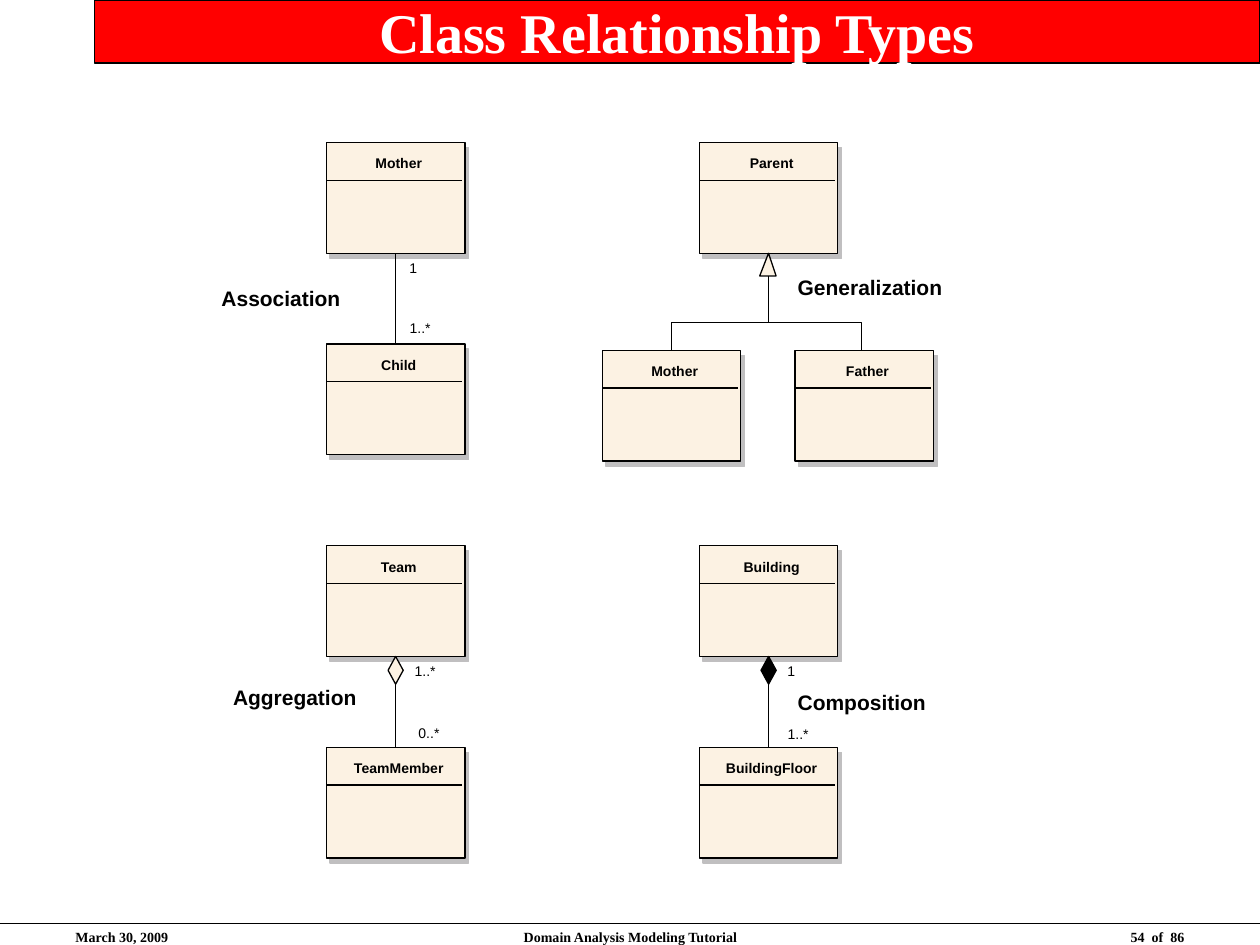
from dataclasses import dataclass
from typing import Optional

from lxml import etree
from pptx import Presentation
from pptx.dml.color import RGBColor
from pptx.enum.shapes import MSO_CONNECTOR as Connector, MSO_SHAPE as Preset
from pptx.enum.text import MSO_ANCHOR as Anchor, MSO_AUTO_SIZE as AutoSize, PP_ALIGN as Align
from pptx.oxml.ns import qn
from pptx.util import Inches, Pt

COLORS = {"ink": "000000", "paper": "FFFFFF", "banner": "FF0000",
          "class": "FCF2E3", "shade": "C0BFC0"}
CLASS_WIDTH, CLASS_HEIGHT = 1.1, 0.88
LEFT_COLUMN, RIGHT_COLUMN = 2.59, 5.55
TOP, BOTTOM = 0, 2

STYLES = {
    "title": {"size": Pt(32), "name": "Times New Roman", "bold": True},
    "footer": {"size": Pt(8), "name": "Times New Roman", "bold": True},
    "class": {"size": Pt(8), "name": "Arial", "bold": True},
    "multiplicity": {"size": Pt(8), "name": "Arial", "bold": False},
    "relationship": {"size": Pt(12), "name": "Arial", "bold": True},
}
PADDED = {"margin_left": Inches(0.1), "margin_right": Inches(0.1),
          "margin_top": Inches(0.05), "margin_bottom": Inches(0.05)}
TIGHT = dict.fromkeys(PADDED, 0)
FIXED = {"word_wrap": True, "auto_size": AutoSize.NONE}
GROWING = {"word_wrap": False, "auto_size": AutoSize.SHAPE_TO_FIT_TEXT}
FRAMES = {
    "title": {**PADDED, **FIXED, "vertical_anchor": Anchor.MIDDLE},
    "footer": {**PADDED, **FIXED},
    "class": {**TIGHT, **GROWING},
    "multiplicity": {**TIGHT, **GROWING},
    "relationship": {**PADDED, **GROWING},
}


@dataclass
class Label:
    text: str
    left: float
    top: float
    width: float
    height: float
    style: str
    align: Align = Align.CENTER


@dataclass
class ClassBox:
    key: str
    name: str
    left: float
    top: float
    name_width: float


@dataclass
class Relation:
    begin: str
    begin_side: int
    end: str
    end_side: int
    diamond: Optional[str] = None


CLASSES = [
    ClassBox("mother", "Mother", LEFT_COLUMN, 1.13, 0.4),
    ClassBox("child", "Child", LEFT_COLUMN, 2.73, 0.31),
    ClassBox("parent", "Parent", RIGHT_COLUMN, 1.13, 0.38),
    ClassBox("mother subclass", "Mother", 4.78, 2.78, 0.4),
    ClassBox("father subclass", "Father", 6.31, 2.78, 0.37),
    ClassBox("building", "Building", RIGHT_COLUMN, 4.33, 0.48),
    ClassBox("floor", "BuildingFloor", RIGHT_COLUMN, 5.93, 0.76),
    ClassBox("team", "Team", LEFT_COLUMN, 4.33, 0.32),
    ClassBox("member", "TeamMember", LEFT_COLUMN, 5.93, 0.75),
]
RELATIONS = [
    Relation("mother", BOTTOM, "child", TOP),
    Relation("floor", TOP, "building", BOTTOM, "ink"),
    Relation("member", TOP, "team", BOTTOM, "class"),
]
FOOTERS = [
    Label("March 30, 2009", 0.5, 7.32, 2.33, 0.17, "footer", Align.LEFT),
    Label("Domain Analysis Modeling Tutorial", 3.42, 7.32, 3.17, 0.17, "footer"),
    Label("54  of  86", 7.17, 7.32, 2.33, 0.17, "footer", Align.RIGHT),
]
MULTIPLICITIES = [
    Label(text, left, top, width, 0.13, "multiplicity")
    for text, left, top, width in [
        ("1", 3.25, 2.06, 0.06), ("1..*", 3.25, 2.54, 0.17),
        ("1", 6.25, 5.26, 0.06), ("1..*", 6.25, 5.76, 0.17),
        ("1..*", 3.29, 5.26, 0.17), ("0..*", 3.32, 5.75, 0.17)]
]
RELATIONSHIPS = [
    Label(text, left, top, width, 0.3, "relationship")
    for text, left, top, width in [
        ("Association", 1.64, 2.22, 1.18), ("Generalization", 6.23, 2.13, 1.35),
        ("Aggregation", 1.75, 5.38, 1.18), ("Composition", 6.23, 5.42, 1.22)]
]


def rgb(color: str) -> RGBColor:
    return RGBColor.from_string(COLORS[color])


def apply_format(target, values: dict) -> None:
    for name, value in values.items():
        setattr(target, name, value)


def paint(shape, fill: Optional[str], line: str = "ink") -> None:
    shape.shadow.inherit = False
    if fill:
        shape.fill.solid()
        shape.fill.fore_color.rgb = rgb(fill)
    else:
        shape.fill.background()
    shape.line.color.rgb = rgb(line)
    shape.line.width = Pt(0.75)


def write(shape, text: str, style: str, align: Align, color: str = "ink") -> None:
    apply_format(shape.text_frame, FRAMES[style])
    paragraph = shape.text_frame.paragraphs[0]
    paragraph.text = text
    paragraph.alignment = align
    apply_format(paragraph.font, STYLES[style])
    paragraph.font.color.rgb = rgb(color)


def add_label(slide, label: Label) -> None:
    shape = slide.shapes.add_textbox(Inches(label.left), Inches(label.top),
                                     Inches(label.width), Inches(label.height))
    write(shape, label.text, label.style, label.align)


def add_rectangle(slide, left: float, top: float, width: float, height: float,
                  fill: str, line: str = "ink"):
    shape = slide.shapes.add_shape(Preset.RECTANGLE, Inches(left), Inches(top),
                                   Inches(width), Inches(height))
    paint(shape, fill, line)
    return shape


def add_line(slide, x1: float = 0, y1: float = 0, x2: float = 0, y2: float = 0):
    line = slide.shapes.add_connector(Connector.STRAIGHT, Inches(x1), Inches(y1),
                                      Inches(x2), Inches(y2))
    line.line.color.rgb = rgb("ink")
    line.line.width = Pt(0.75)
    etree.SubElement(line._element.spPr, qn("a:effectLst"))
    return line


def add_outline(slide, points: list, fill: Optional[str] = None) -> None:
    corners = [(Inches(x), Inches(y)) for x, y in points]
    builder = slide.shapes.build_freeform(*corners[0])
    builder.add_line_segments(corners[1:], close=fill is not None)
    paint(builder.convert_to_shape(), fill)


def add_class(slide, box: ClassBox):
    add_rectangle(slide, box.left + 0.03, box.top + 0.04, CLASS_WIDTH, CLASS_HEIGHT,
                  "shade", "shade")
    shape = add_rectangle(slide, box.left, box.top, CLASS_WIDTH, CLASS_HEIGHT, "class")
    name_left = box.left + (CLASS_WIDTH + 0.05 - box.name_width) / 2
    add_label(slide, Label(box.name, name_left, box.top + 0.1, box.name_width, 0.13, "class"))
    divider = box.top + 0.3
    add_line(slide, box.left, divider, box.left + 1.08, divider)
    return shape


def add_relation(slide, relation: Relation, shapes: dict) -> None:
    line = add_line(slide)
    line.begin_connect(shapes[relation.begin], relation.begin_side)
    line.end_connect(shapes[relation.end], relation.end_side)
    if relation.diamond:
        x, y = line.end_x / Inches(1), line.end_y / Inches(1)
        add_outline(slide, [(x + 0.06, y + 0.11), (x, y), (x - 0.06, y + 0.11),
                            (x, y + 0.22)], relation.diamond)


def add_generalization(slide) -> None:
    x, y = RIGHT_COLUMN + CLASS_WIDTH / 2, 2.01
    for child_x in (5.33, 6.84):
        add_outline(slide, [(child_x, 2.78), (child_x, 2.56), (x, 2.56), (x, y)])
    add_outline(slide, [(x + 0.06, y + 0.18), (x - 0.07, y + 0.18), (x, y)], "class")


def main() -> None:
    presentation = Presentation()
    apply_format(presentation, {"slide_width": Inches(10), "slide_height": Inches(7.5)})
    slide = presentation.slides.add_slide(presentation.slide_layouts[6])
    add_line(slide, 0, 7.33, 10, 7.33)
    title = add_rectangle(slide, 0.75, 0, 9.25, 0.5, "banner")
    write(title, "Class Relationship Types", "title", Align.CENTER, "paper")
    shapes = {box.key: add_class(slide, box) for box in CLASSES}
    for relation in RELATIONS:
        add_relation(slide, relation, shapes)
    add_generalization(slide)
    for label in FOOTERS + MULTIPLICITIES + RELATIONSHIPS:
        add_label(slide, label)
    presentation.save("out.pptx")


if __name__ == "__main__":
    main()
